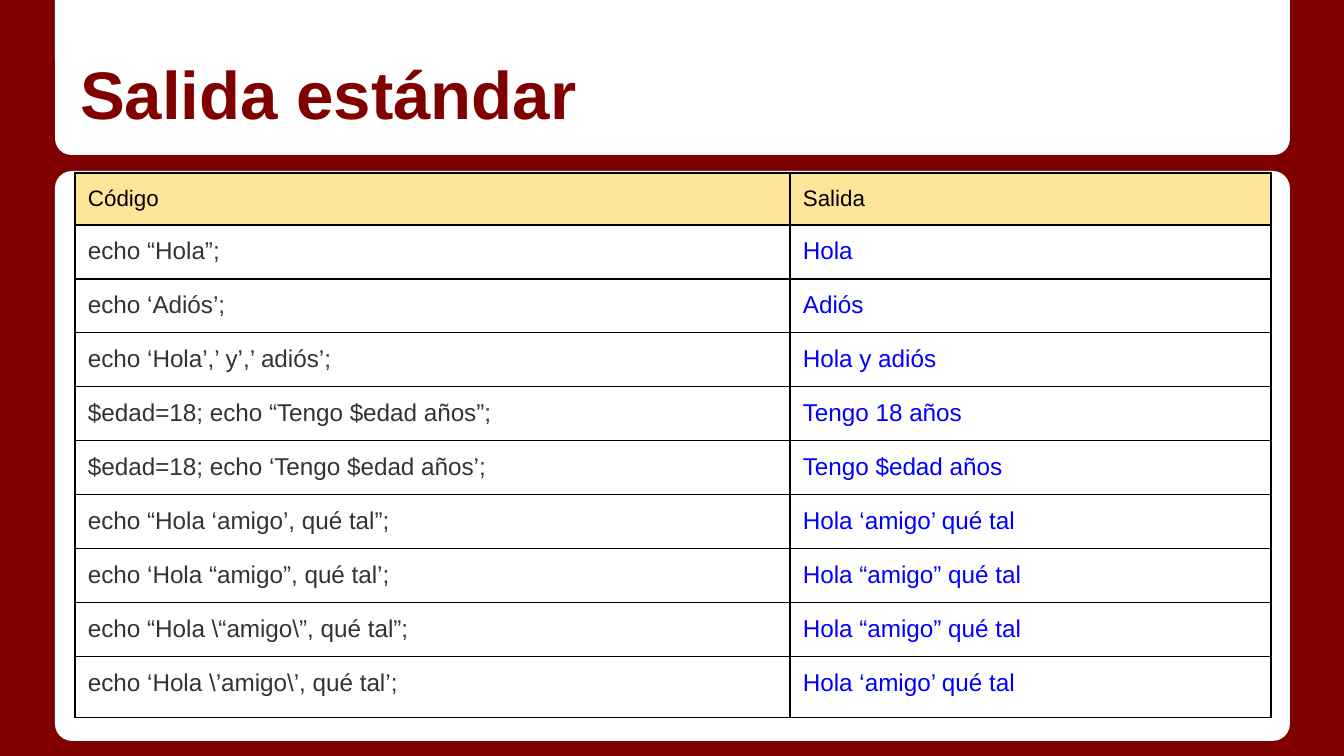
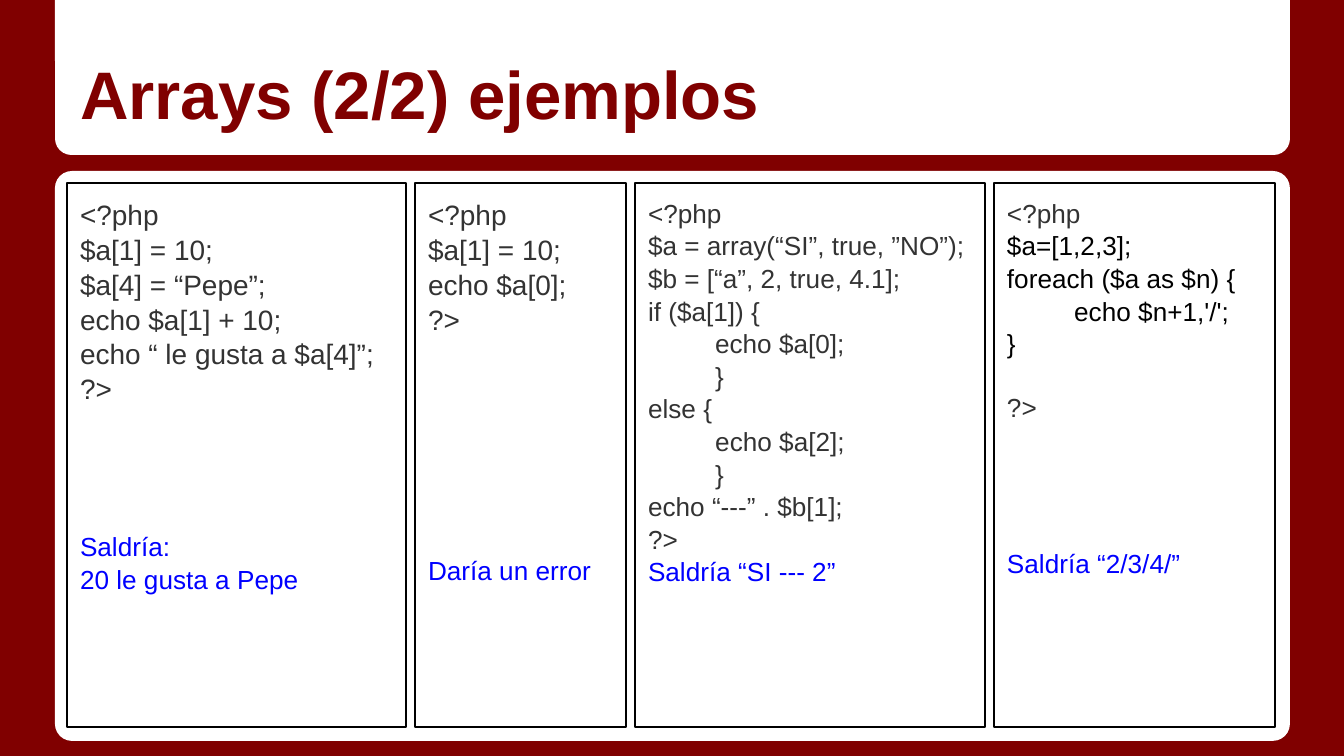
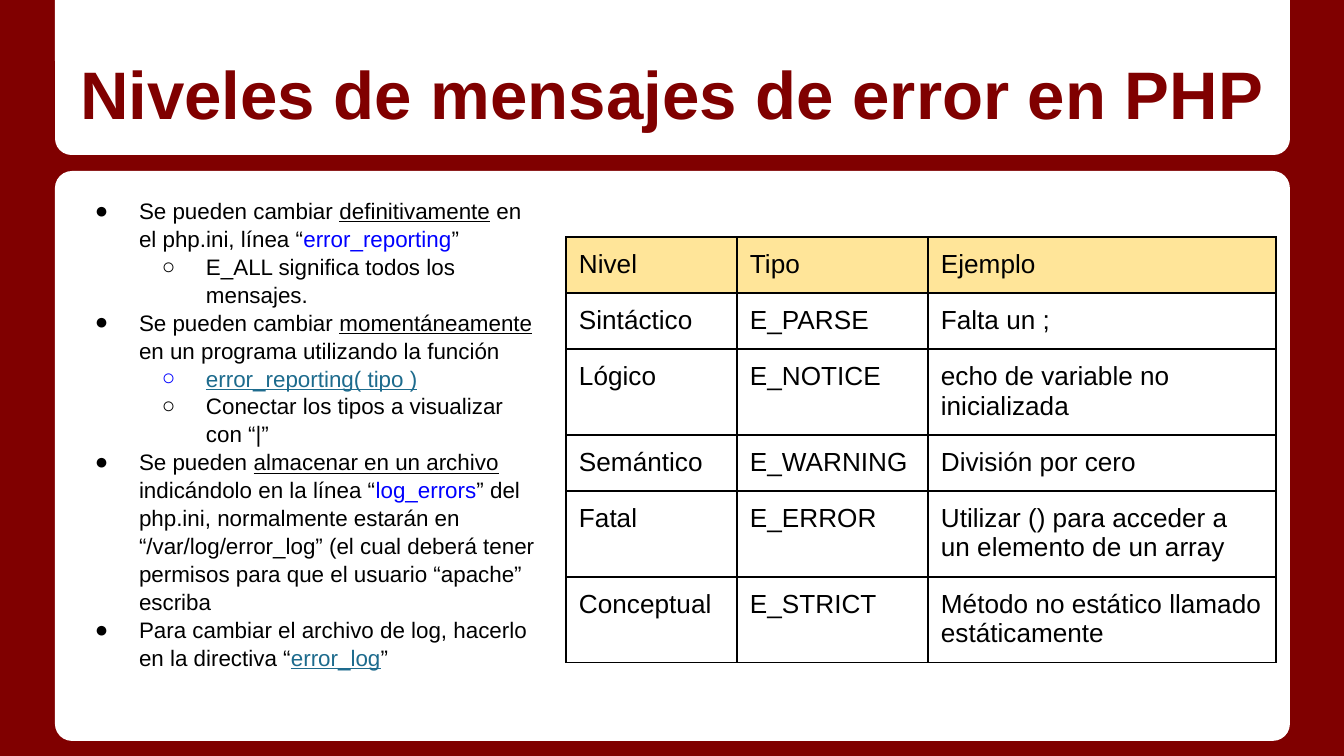
from lxml import etree
from pptx import Presentation
from pptx import util as u
from pptx.dml.color import RGBColor
from pptx.enum import shapes, text
from pptx.oxml import ns

EMU_PER_PX = 914400 / 134.4
MAROON = RGBColor(0x80, 0x00, 0x00)
WHITE = RGBColor(0xFF, 0xFF, 0xFF)
BLACK = RGBColor(0x00, 0x00, 0x00)
GRAY = RGBColor(0x33, 0x33, 0x33)
BLUE = RGBColor(0x00, 0x00, 0xFF)
TEAL = RGBColor(0x1D, 0x6B, 0x8D)
CREAM = RGBColor(0xFF, 0xE5, 0x99)

FONT = "Arial"
INSET = 13
LINE_SPACING = 1.04
CODE_LINE = 31  # height of one line of 14 pt code
TAB = 134
LAYOUT_LIST, LAYOUT_FOUR_BODIES, LAYOUT_TITLE_ONLY = 1, 4, 5


def px(length):
    return u.Emu(round(length * EMU_PER_PX))


def add_xml(parent, tag, **attributes):
    values = {name: str(value) for name, value in attributes.items()}
    return etree.SubElement(parent, ns.qn(tag), values)


class Deck:
    """Holds the shared style and the slide being filled."""

    def __init__(self):
        self.prs = Presentation()
        self.prs.slide_width, self.prs.slide_height = px(1344), px(756)
        self.slide = None

    def start_slide(self, layout, title):
        first = self.slide is None
        self.slide = self.prs.slides.add_slide(self.prs.slide_layouts[layout])
        if first:
            self.decorate_master()
        heading = self.slide.shapes.title
        self.place(heading, 67, 20, 1222, 126, text.MSO_ANCHOR.BOTTOM)
        heading.text_frame.text = title
        paragraph = heading.text_frame.paragraphs[0]
        paragraph.alignment = text.PP_ALIGN.LEFT
        self.format_run(paragraph.runs[0], 36, MAROON, bold=True)

    def decorate_master(self):
        """Put the maroon ground and the two white panels on the master."""
        master = self.prs.slide_master
        master.background.fill.solid()
        master.background.fill.fore_color.rgb = MAROON
        kinds = shapes.MSO_SHAPE
        content_panel = self.panel(kinds.ROUNDED_RECTANGLE, 171, 570, 0.03)
        title_panel = self.panel(kinds.ROUND_2_SAME_RECTANGLE, 0, 155, 0.106)
        title_panel.rotation = 180
        for position, panel in enumerate((content_panel, title_panel)):
            panel.element.nvSpPr.cNvPr.set("id", str(100 + position))
            master.shapes.element.insert(2 + position, panel.element)

    def panel(self, kind, top, height, roundness):
        panel = self.slide.shapes.add_shape(kind, px(55), px(top), px(1235), px(height))
        panel.adjustments[0] = roundness
        panel.shadow.inherit = False
        panel.fill.solid()
        panel.fill.fore_color.rgb = WHITE
        panel.line.fill.background()
        return panel

    def place(self, holder, left, top, width, height, anchor=text.MSO_ANCHOR.TOP):
        holder.left, holder.top = px(left), px(top)
        holder.width, holder.height = px(width), px(height)
        frame = holder.text_frame
        frame.word_wrap = True
        frame.auto_size = text.MSO_AUTO_SIZE.NONE
        frame.vertical_anchor = anchor
        frame.margin_left = frame.margin_right = px(INSET)
        frame.margin_top = frame.margin_bottom = px(INSET)

    def format_run(self, run, size, color, bold=False, underline=False):
        run.font.name = FONT
        run.font.size = u.Pt(size)
        run.font.bold = bold
        run.font.underline = underline
        run.font.color.rgb = color

    def format_paragraph(self, paragraph, margin=0, indent=0, gap=0):
        paragraph.alignment = text.PP_ALIGN.LEFT
        paragraph.line_spacing = LINE_SPACING
        paragraph.space_before = px(gap)
        paragraph.space_after = 0
        properties = paragraph._p.get_or_add_pPr()
        properties.set("marL", str(px(margin)))
        properties.set("indent", str(px(indent)))
        return properties

    def code_box(self, holder, left, width, lines):
        """Fill a framed box from lines of (text, size, colour, indent, gap)."""
        self.place(holder, left, 183, width, 544)
        holder.line.color.rgb = BLACK
        holder.line.width = u.Pt(0.75)
        frame = holder.text_frame
        frame.text = "\n".join(line[0] for line in lines)
        for paragraph, (_, size, color, indent, gap) in zip(frame.paragraphs, lines):
            properties = self.format_paragraph(paragraph, indent=indent, gap=gap)
            add_xml(properties, "a:buNone")
            stops = add_xml(properties, "a:tabLst")
            add_xml(stops, "a:tab", pos=px(TAB), algn="l")
            self.format_run(paragraph.runs[0], size, color)

    def bullet_list(self, items):
        """Fill the body from items of (level, bullet colour, pieces)."""
        holder = self.slide.placeholders[1]
        self.place(holder, 59, 183, 496, 515)
        frame = holder.text_frame
        for number, (level, bullet_color, pieces) in enumerate(items):
            paragraph = frame.add_paragraph() if number else frame.paragraphs[0]
            paragraph.level = level
            properties = self.format_paragraph(paragraph, 67 * (level + 1), -44)
            ink = add_xml(properties, "a:buClr")
            add_xml(ink, "a:srgbClr", val=bullet_color)
            add_xml(properties, "a:buFont", typeface=FONT)
            add_xml(properties, "a:buChar", char="●○"[level])
            for words, color, underline in pieces:
                run = paragraph.add_run()
                run.text = words
                self.format_run(run, 12, color, underline=underline)

    def table(self, left, top, widths, heights, rows, header_size, size, colors):
        frame = self.slide.shapes.add_table(
            len(rows), len(widths), px(left), px(top), px(sum(widths)), px(sum(heights)))
        grid = frame.table
        grid.first_row = grid.horz_banding = False
        for column, width in zip(grid.columns, widths):
            column.width = px(width)
        for row, height in zip(grid.rows, heights):
            row.height = px(height)
        for r, row in enumerate(rows):
            for c, words in enumerate(row):
                cell = grid.cell(r, c)
                self.cell_frame(cell, header=r == 0)
                cell.text_frame.text = words
                run = cell.text_frame.paragraphs[0].runs[0]
                if r == 0:
                    self.format_run(run, header_size, BLACK)
                else:
                    self.format_run(run, size, colors[c])

    def cell_frame(self, cell, header):
        cell.margin_left = cell.margin_right = px(INSET)
        cell.margin_top = cell.margin_bottom = px(INSET)
        properties = cell._tc.get_or_add_tcPr()
        for side in ("a:lnL", "a:lnR", "a:lnT", "a:lnB"):
            border = add_xml(properties, side, w=u.Pt(0.75))
            ink = add_xml(border, "a:solidFill")
            add_xml(ink, "a:srgbClr", val=BLACK)
        if header:
            cell.fill.solid()
            cell.fill.fore_color.rgb = CREAM
        else:
            cell.fill.background()


def code(words, size=14, color=GRAY, indent=0, gap=0):
    return words, size, color, indent, gap


def result(words, blank_lines=0):
    return code(words, color=BLUE, gap=blank_lines * CODE_LINE)


def plain(words):
    return words, BLACK, False


def underlined(words):
    return words, BLACK, True


def setting(words):
    return words, BLUE, False


def reference(words):
    return words, TEAL, True


OUTPUT_ROWS = [
    ("Código", "Salida"),
    ("echo “Hola”;", "Hola"),
    ("echo ‘Adiós’;", "Adiós"),
    ("echo ‘Hola’,’ y’,’ adiós’;", "Hola y adiós"),
    ("$edad=18; echo “Tengo $edad años”;", "Tengo 18 años"),
    ("$edad=18; echo ‘Tengo $edad años’;", "Tengo $edad años"),
    ("echo “Hola ‘amigo’, qué tal”;", "Hola ‘amigo’ qué tal"),
    ("echo ‘Hola “amigo”, qué tal’;", "Hola “amigo” qué tal"),
    ("echo “Hola \\“amigo\\”, qué tal”;", "Hola “amigo” qué tal"),
    ("echo ‘Hola \\’amigo\\’, qué tal’;", "Hola ‘amigo’ qué tal"),
]

ARRAY_EXAMPLES = [
    (339, [
        *(code(line, 15) for line in (
            "<?php", "$a[1] = 10;", "$a[4] = “Pepe”;", "echo $a[1] + 10;",
            "echo “ le gusta a $a[4]”;", "?>")),
        result("Saldría:", blank_lines=4),
        result("20 le gusta a Pepe"),
    ]),
    (211, [
        *(code(line, 15) for line in ("<?php", "$a[1] = 10;", "echo $a[0];", "?>")),
        result("Daría un error", blank_lines=7),
    ]),
    (350, [
        *(code(line) for line in (
            "<?php", "$a = array(“SI”, true, ”NO”);", "$b = [“a”, 2, true, 4.1];",
            "if ($a[1]) {")),
        code("echo $a[0];", indent=67),
        code("}", indent=67),
        *(code(line) for line in (
            "else {", "\techo $a[2];", "\t}", "echo “---” . $b[1];", "?>")),
        result("Saldría “SI --- 2”"),
    ]),
    (281, [
        code("<?php"),
        *(code(line, color=BLACK) for line in (
            "$a=[1,2,3];", "foreach ($a as $n) {", "\techo $n+1,'/';", "}")),
        code("?>", gap=CODE_LINE),
        result("Saldría “2/3/4/”", blank_lines=4),
    ]),
]

ERROR_SETTINGS = [
    (0, BLACK, [plain("Se pueden cambiar "), underlined("definitivamente"),
                plain(" en el php.ini, línea “"), setting("error_reporting"), plain("”")]),
    (1, BLACK, [plain("E_ALL significa todos los mensajes.")]),
    (0, BLACK, [plain("Se pueden cambiar "), underlined("momentáneamente"),
                plain(" en un programa utilizando la función")]),
    (1, BLUE, [reference("error_reporting( tipo )")]),
    (1, BLACK, [plain("Conectar los tipos a visualizar con “|”")]),
    (0, BLACK, [plain("Se pueden "), underlined("almacenar en un archivo"),
                plain(" indicándolo en la línea “"), setting("log_errors"),
                plain("” del php.ini, normalmente estarán en “/var/log/error_log” "
                      "(el cual deberá tener permisos para que el usuario “apache” escriba")]),
    (0, BLACK, [plain("Para cambiar el archivo de log, hacerlo en la directiva “"),
                reference("error_log"), plain("”")]),
]

ERROR_LEVELS = [
    ("Nivel", "Tipo", "Ejemplo"),
    ("Sintáctico", "E_PARSE", "Falta un ;"),
    ("Lógico", "E_NOTICE", "echo de variable no inicializada"),
    ("Semántico", "E_WARNING", "División por cero"),
    ("Fatal", "E_ERROR", "Utilizar () para acceder a un elemento de un array"),
    ("Conceptual", "E_STRICT", "Método no estático llamado estáticamente"),
]


def main():
    deck = Deck()

    deck.start_slide(LAYOUT_TITLE_ONLY, "Salida estándar")
    deck.table(75, 173, [715, 481], [52] + [54] * 8 + [61], OUTPUT_ROWS,
               header_size=12, size=13, colors=[GRAY, BLUE])

    deck.start_slide(LAYOUT_FOUR_BODIES, "Arrays (2/2) ejemplos")
    left, gap = 67, 9
    bodies = list(deck.slide.placeholders)[1:]
    for holder, (width, lines) in zip(bodies, ARRAY_EXAMPLES):
        deck.code_box(holder, left, width, lines)
        left += width + gap

    deck.start_slide(LAYOUT_LIST, "Niveles de mensajes de error en PHP")
    deck.bullet_list(ERROR_SETTINGS)
    deck.table(566, 237, [171, 191, 348], [56, 56, 86, 56, 86, 86], ERROR_LEVELS,
               header_size=14, size=14, colors=[BLACK] * 3)

    deck.prs.save("out.pptx")


if __name__ == "__main__":
    main()
